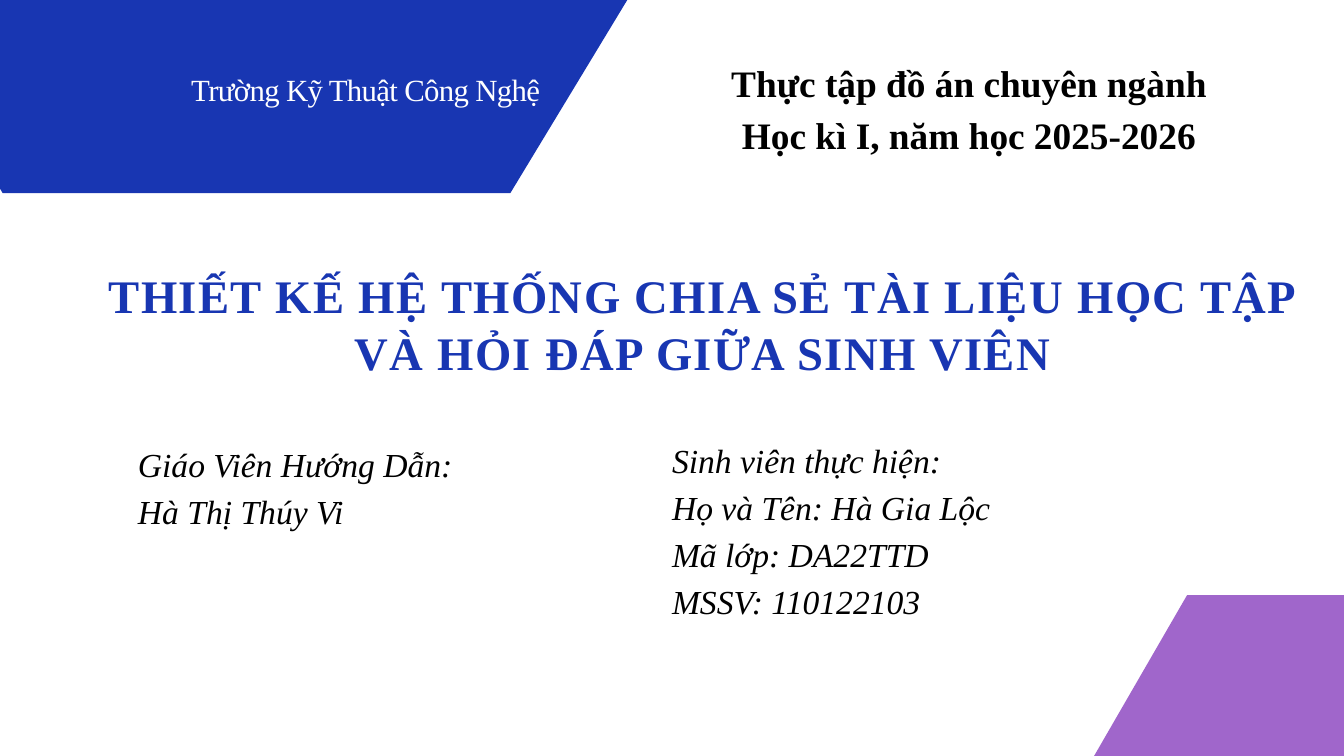
"""Build the title slide of a student project report."""
from dataclasses import dataclass

from pptx import Presentation
from pptx import util as u
from pptx.dml.color import RGBColor
from pptx.enum import text
from pptx.slide import Slide

PX = 9525
FONT = "Times New Roman"
BLUE = RGBColor(0x18, 0x36, 0xB2)
PURPLE = RGBColor(0xA0, 0x66, 0xCB)
BLACK = RGBColor(0, 0, 0)
WHITE = RGBColor(255, 255, 255)
CENTER = text.PP_ALIGN.CENTER
JUSTIFY = text.PP_ALIGN.JUSTIFY


@dataclass(frozen=True)
class Hexagon:
    left: int
    top: int
    width: int
    height: int
    inset: int
    color: RGBColor


@dataclass(frozen=True)
class Caption:
    left: int
    top: int
    width: int
    height: int
    lines: tuple[str, ...]
    size: int
    leading: float
    color: RGBColor = BLACK
    align: text.PP_ALIGN = CENTER
    bold: bool = False
    italic: bool = False
    tracking: int = 0


HEXAGONS = (
    Hexagon(-194, -378, 1121, 654, 198, BLUE),
    Hexagon(1563, 850, 498, 461, 133, PURPLE),
)

CAPTIONS = (
    Caption(896, 75, 976, 145,
            ("Thực tập đồ án chuyên ngành", "Học kì I, năm học 2025-2026"),
            40, 56, bold=True),
    Caption(197, 625, 639, 132,
            ("Giáo Viên Hướng Dẫn:", "Hà Thị Thúy Vi"),
            36, 50.4, align=JUSTIFY, italic=True),
    Caption(136, 381, 1736, 159,
            ("THIẾT KẾ HỆ THỐNG CHIA SẺ TÀI LIỆU HỌC TẬP VÀ HỎI ĐÁP GIỮA SINH VIÊN",),
            50, 60.5, BLUE, bold=True, tracking=150),
    Caption(268, 96, 509, 58, ("Trường Kỹ Thuật Công Nghệ",),
            33, 42.9, WHITE, tracking=-70),
    Caption(960, 619, 639, 266,
            ("Sinh viên thực hiện:", "Họ và Tên: Hà Gia Lộc",
             "Mã lớp: DA22TTD", "MSSV: 110122103"),
            36, 50.4, align=JUSTIFY, italic=True),
)


def draw_hexagon(page: Slide, item: Hexagon) -> None:
    """Draw a flat-topped hexagon without an outline."""
    right, bottom = item.left + item.width, item.top + item.height
    middle = item.top + item.height // 2
    inner_left, inner_right = item.left + item.inset, right - item.inset
    builder = page.shapes.build_freeform(inner_left, item.top, scale=PX)
    builder.add_line_segments(
        [(inner_right, item.top), (right, middle), (inner_right, bottom),
         (inner_left, bottom), (item.left, middle)], close=True)
    shape = builder.convert_to_shape()
    shape.shadow.inherit = False
    shape.fill.solid()
    shape.fill.fore_color.rgb = item.color
    shape.line.fill.background()


def draw_caption(page: Slide, item: Caption) -> None:
    """Draw a text box with one paragraph per line."""
    box = page.shapes.add_textbox(
        *(PX * value for value in (item.left, item.top, item.width, item.height)))
    frame = box.text_frame
    frame_format = {"word_wrap": True, "auto_size": text.MSO_AUTO_SIZE.SHAPE_TO_FIT_TEXT,
                    "margin_left": 0, "margin_top": 0,
                    "margin_right": 0, "margin_bottom": 0}
    for name, value in frame_format.items():
        setattr(frame, name, value)
    font_format = {"name": FONT, "size": u.Pt(item.size),
                   "bold": item.bold, "italic": item.italic}
    for index, line in enumerate(item.lines):
        para = frame.add_paragraph() if index else frame.paragraphs[0]
        para.alignment = item.align
        para.line_spacing = u.Pt(item.leading)
        span = para.add_run()
        span.text = line
        for name, value in font_format.items():
            setattr(span.font, name, value)
        span.font.color.rgb = item.color
        if item.tracking:
            span._r.get_or_add_rPr().set("spc", str(item.tracking))


def main() -> None:
    """Assemble and save the deck."""
    deck = Presentation()
    deck.slide_width, deck.slide_height = 1920 * PX, 1080 * PX
    page = deck.slides.add_slide(deck.slide_layouts[6])
    for hexagon in HEXAGONS:
        draw_hexagon(page, hexagon)
    for caption in CAPTIONS:
        draw_caption(page, caption)
    deck.save("out.pptx")


if __name__ == "__main__":
    main()
